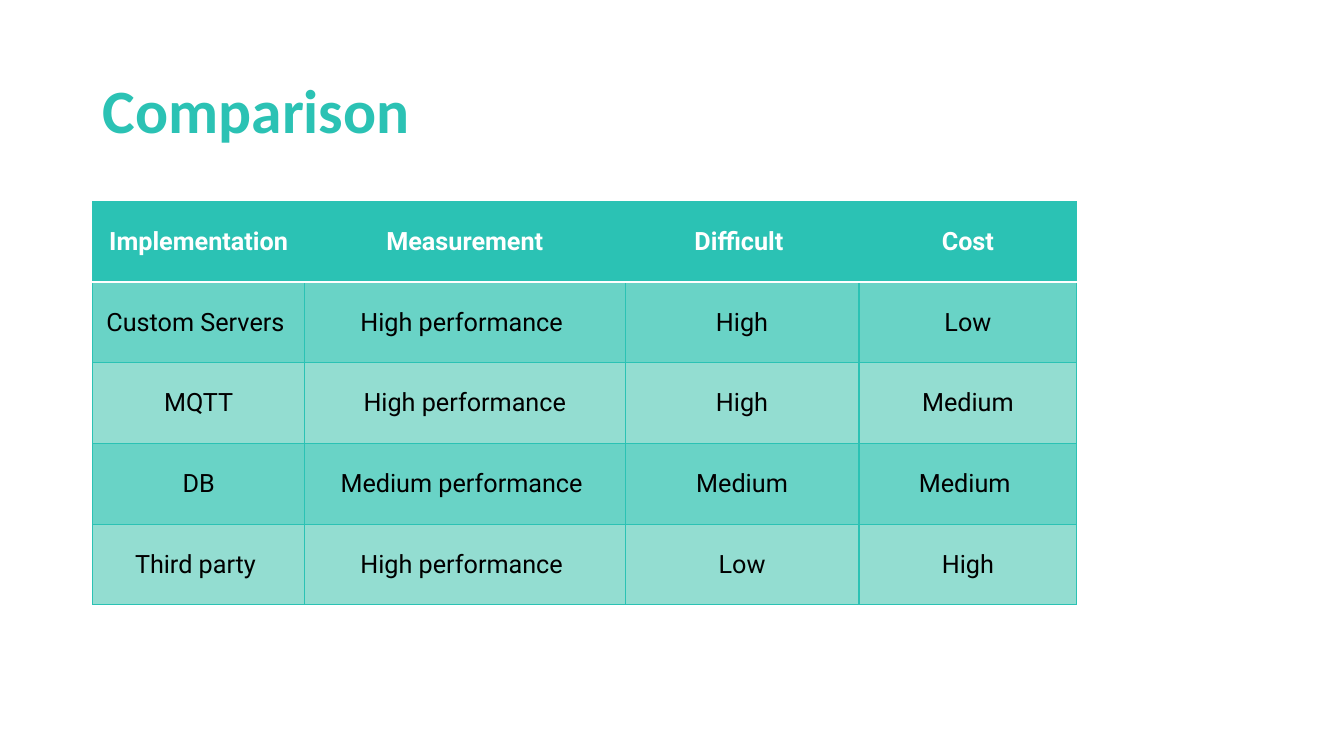
import dataclasses
import typing

import pptx
import pptx.dml.color
import pptx.enum.text
import pptx.oxml
import pptx.oxml.ns
import pptx.table
import pptx.util

COLORS = {
    "teal": "2BC2B4",
    "band_dark": "69D3C6",
    "band_light": "93DDD1",
    "white": "FFFFFF",
    "black": "000000",
}
COLUMN_WIDTHS = (2.1, 3.18, 2.32, 2.16)
ROW_HEIGHT = 0.8
MIDDLE = pptx.enum.text.MSO_ANCHOR.MIDDLE


@dataclasses.dataclass(frozen=True)
class Border:
    color: str
    width: float


@dataclasses.dataclass(frozen=True)
class RowStyle:
    fill: str
    text: str
    bold: bool
    top: Border
    bottom: Border


@dataclasses.dataclass(frozen=True)
class ComparisonRow:
    texts: tuple[str, ...]
    style: RowStyle


GRID = Border("teal", 1)
HEADER_RULE = Border("white", 1.5)
HEADER = RowStyle("teal", "white", True, GRID, HEADER_RULE)
FIRST = RowStyle("band_dark", "black", False, HEADER_RULE, GRID)
DARK = RowStyle("band_dark", "black", False, GRID, GRID)
LIGHT = RowStyle("band_light", "black", False, GRID, GRID)

ROWS = (
    ComparisonRow(("Implementation", "Measurement", "Difficult ", "Cost"), HEADER),
    ComparisonRow(("Custom Servers ", "High performance ", "High", "Low"), FIRST),
    ComparisonRow(("MQTT", "High performance", "High", "Medium"), LIGHT),
    ComparisonRow(("DB", "Medium performance ", "Medium", "Medium "), DARK),
    ComparisonRow(("Third party ", "High performance ", "Low", "High"), LIGHT),
)


def rgb(name: str) -> pptx.dml.color.RGBColor:
    return pptx.dml.color.RGBColor.from_string(COLORS[name])


def apply_format(target: typing.Any, values: dict[str, typing.Any]) -> None:
    for name, value in values.items():
        setattr(target, name, value)


def write_text(paragraph: typing.Any, text: str, alignment: typing.Any,
               font: dict[str, typing.Any], color: str) -> None:
    paragraph.alignment = alignment
    run = paragraph.add_run()
    run.text = text
    apply_format(run.font, font)
    run.font.color.rgb = rgb(color)


def add_border(cell: typing.Any, side: str, border: Border) -> None:
    namespace = pptx.oxml.ns.nsdecls("a")
    width = pptx.util.Pt(border.width)
    cell._tc.get_or_add_tcPr().append(pptx.oxml.parse_xml(
        f'<a:ln{side} {namespace} w="{width}"><a:solidFill>'
        f'<a:srgbClr val="{COLORS[border.color]}"/>'
        f'</a:solidFill></a:ln{side}>'
    ))


def fill_cell(cell: typing.Any, text: str, style: RowStyle) -> None:
    borders = {"L": GRID, "R": GRID, "T": style.top, "B": style.bottom}
    for side, border in borders.items():
        add_border(cell, side, border)
    cell.fill.solid()
    cell.fill.fore_color.rgb = rgb(style.fill)
    cell.vertical_anchor = MIDDLE
    font = {"name": "Roboto", "size": pptx.util.Pt(18), "bold": style.bold}
    write_text(cell.text_frame.paragraphs[0], text,
               pptx.enum.text.PP_ALIGN.CENTER, font, style.text)


def format_title(title: typing.Any) -> None:
    apply_format(title, {
        "left": pptx.util.Inches(0.92),
        "top": pptx.util.Inches(0.4),
        "width": pptx.util.Inches(11.5),
        "height": pptx.util.Inches(1.45),
    })
    apply_format(title.text_frame, {"vertical_anchor": MIDDLE, "word_wrap": True})
    paragraph = title.text_frame.paragraphs[0]
    paragraph.line_spacing = 0.9
    font = {"name": "Calibri", "size": pptx.util.Pt(44), "bold": True}
    write_text(paragraph, "Comparison", pptx.enum.text.PP_ALIGN.LEFT, font, "teal")


def add_comparison_table(slide: typing.Any) -> None:
    table = slide.shapes.add_table(
        len(ROWS), len(COLUMN_WIDTHS),
        pptx.util.Inches(0.92), pptx.util.Inches(2),
        pptx.util.Inches(sum(COLUMN_WIDTHS)),
        pptx.util.Inches(ROW_HEIGHT * len(ROWS)),
    ).table
    table.horz_banding = False
    for column, width in zip(table.columns, COLUMN_WIDTHS):
        column.width = pptx.util.Inches(width)
    for table_row, row in zip(table.rows, ROWS):
        table_row.height = pptx.util.Inches(ROW_HEIGHT)
        for cell, text in zip(table_row.cells, row.texts):
            fill_cell(cell, text, row.style)


def main() -> None:
    presentation = pptx.Presentation()
    presentation.slide_width = pptx.util.Inches(13.33)
    presentation.slide_height = pptx.util.Inches(7.5)
    slide = presentation.slides.add_slide(presentation.slide_layouts[5])
    format_title(slide.shapes.title)
    add_comparison_table(slide)
    presentation.save("out.pptx")


if __name__ == "__main__":
    main()
